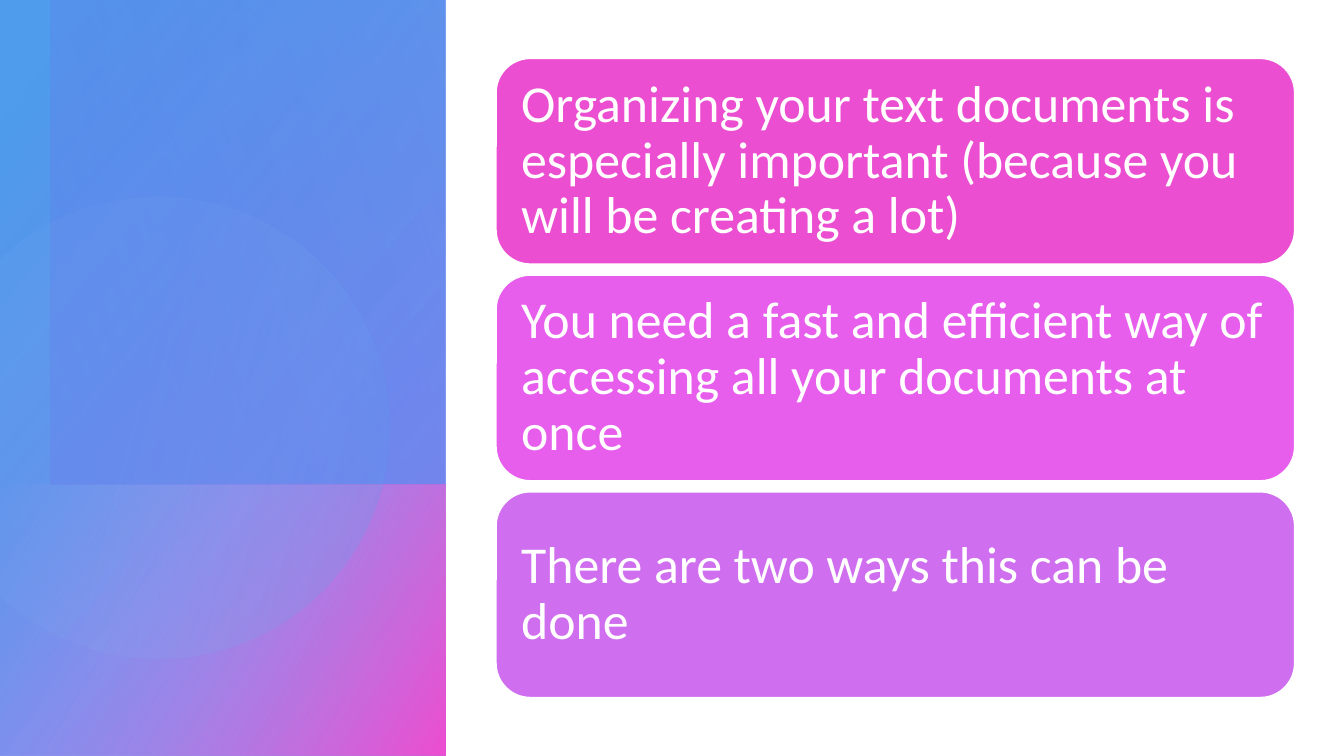
"""Build a slide with a gradient side panel and three stacked message boxes."""
from math import acos, cos, sin

from pptx import Presentation
from pptx.dml.color import RGBColor
from pptx.enum.shapes import MSO_SHAPE as SHAPE
from pptx.enum.text import MSO_ANCHOR as ANCHOR, PP_ALIGN as ALIGN
from pptx.oxml.ns import qn
from pptx.oxml.xmlchemy import OxmlElement
from pptx.util import Inches, Pt

WHITE = RGBColor(0xFF, 0xFF, 0xFF)
PINK = RGBColor(0xEB, 0x4E, 0xD0)
MAGENTA = RGBColor(0xE7, 0x5E, 0xEC)
ORCHID = RGBColor(0xCF, 0x6E, 0xEE)
BLUE = RGBColor(0x4E, 0x9C, 0xEB)
PALE_BLUE = RGBColor(0x95, 0xC4, 0xF3)
INDIGO = RGBColor(0x6E, 0x78, 0xEE)
LAVENDER = RGBColor(0xA8, 0xAE, 0xF5)
VIOLET = RGBColor(0x83, 0x4E, 0xEB)


def set_gradient(sp, angle, stops):
    """Fill with (position, colour, opacity percent) stops at a clockwise angle."""
    sp.shadow.inherit = False
    sp.line.fill.background()
    sp.fill.gradient()
    sp.fill.gradient_angle = 360 - angle
    for stop, (position, color, opacity) in zip(sp.fill.gradient_stops, stops):
        stop.position = position
        stop.color.rgb = color
    for clr, (_, _, opacity) in zip(sp._element.spPr.iter(qn("a:srgbClr")), stops):
        alpha = OxmlElement("a:alpha")
        alpha.set("val", str(opacity * 1000))
        clr.append(alpha)


prs = Presentation()
prs.slide_width, prs.slide_height = Inches(13.33), Inches(7.5)
s = prs.slides.add_slide(prs.slide_layouts[6])
shapes = s.shapes

PANEL_W, SPLIT_Y = 4.42, 4.81
panel = shapes.add_shape(SHAPE.RECTANGLE, 0, 0, Inches(PANEL_W), Inches(7.5))
set_gradient(panel, 40, [(0.08, BLUE, 100), (1, INDIGO, 89)])

corner = shapes.add_shape(SHAPE.RECTANGLE, 0, Inches(SPLIT_Y),
                          Inches(PANEL_W), Inches(7.5 - SPLIT_Y))
set_gradient(corner, 30, [(0, LAVENDER, 0), (0.99, PINK, 100)])

CX, CY, RADIUS, STEPS = 1.57, 4.24, 2.29, 120
limit = acos(-CX / RADIUS)
angles = [limit * (2 * i / STEPS - 1) for i in range(STEPS + 1)]
points = [(Inches(CX + RADIUS * cos(a)), Inches(CY + RADIUS * sin(a))) for a in angles]
builder = shapes.build_freeform(*points[0])
builder.add_line_segments(points[1:], close=True)
circle = builder.convert_to_shape()
set_gradient(circle, 14, [(0.36, PALE_BLUE, 6), (1, BLUE, 26)])

glow = shapes.add_shape(SHAPE.RECTANGLE, Inches(0.5), 0,
                        Inches(PANEL_W - 0.5), Inches(SPLIT_Y))
set_gradient(glow, 340, [(0, INDIGO, 29), (1, VIOLET, 0)])

messages = [
    ("Organizing your text documents is especially important "
     "(because you will be creating a lot)", PINK),
    ("You need a fast and efficient way of accessing all your documents at once", MAGENTA),
    ("There are two ways this can be done", ORCHID),
]
for i, (message, color) in enumerate(messages):
    sp = shapes.add_shape(SHAPE.ROUNDED_RECTANGLE, Inches(4.92), Inches(0.58 + 2.15 * i),
                          Inches(7.92), Inches(2.04))
    sp.shadow.inherit = False
    sp.fill.solid()
    sp.fill.fore_color.rgb = color
    sp.line.color.rgb = WHITE
    sp.line.width = Pt(1)
    tf = sp.text_frame
    tf.word_wrap = True
    tf.vertical_anchor = ANCHOR.MIDDLE
    tf.margin_left = tf.margin_right = tf.margin_top = tf.margin_bottom = Inches(0.15)
    tf.text = message
    p = tf.paragraphs[0]
    p.alignment = ALIGN.LEFT
    p.line_spacing = 0.9
    font = p.runs[0].font
    font.name = "Calibri"
    font.size = Pt(37)
    font.color.rgb = WHITE

prs.save("out.pptx")
